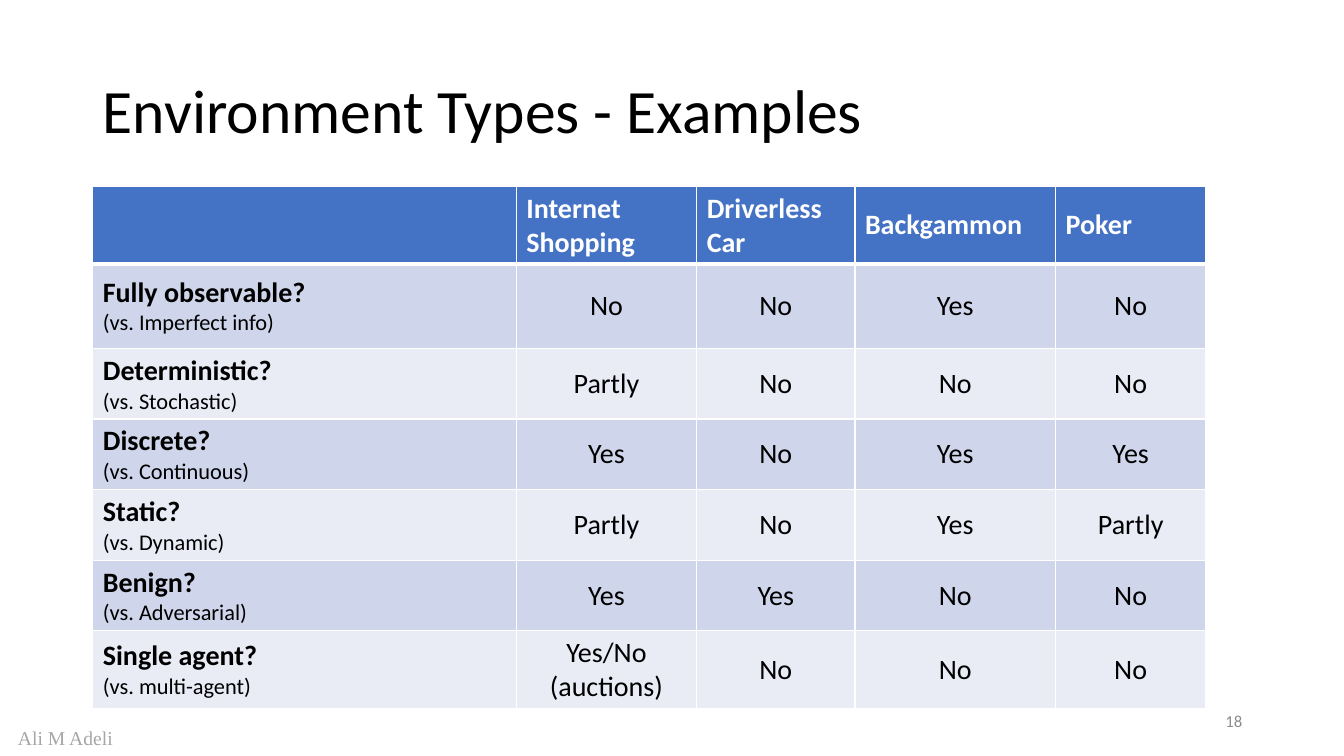
from lxml.etree import SubElement
from pptx import Presentation
from pptx.dml.color import RGBColor
from pptx.enum.text import MSO_ANCHOR, MSO_AUTO_SIZE, PP_ALIGN
from pptx.oxml.ns import qn
from pptx.util import Pt

EMU_PER_PX = 9144
BLACK = RGBColor(0x00, 0x00, 0x00)
WHITE = RGBColor(0xFF, 0xFF, 0xFF)
HEADER_BLUE = RGBColor(0x44, 0x72, 0xC4)
BAND_DARK = RGBColor(0xCF, 0xD5, 0xEA)
BAND_LIGHT = RGBColor(0xE9, 0xEB, 0xF5)
AUTHOR_GRAY = RGBColor(0xA6, 0xA6, 0xA6)
NUMBER_GRAY = RGBColor(0x8C, 0x8C, 0x8C)

COLUMN_WIDTHS = [420, 179, 157, 199, 149]
ROW_HEIGHTS = [66, 84, 68, 70, 66, 67, 66]
HEADERS = ["", "Internet Shopping", "Driverless Car", "Backgammon", "Poker"]
ENVIRONMENT_ROWS = [
    ("Fully observable?", "(vs. Imperfect info)", ["No", "No", "Yes", "No"]),
    ("Deterministic?", "(vs. Stochastic)", ["Partly", "No", "No", "No"]),
    ("Discrete?", "(vs. Continuous)", ["Yes", "No", "Yes", "Yes"]),
    ("Static?", "(vs. Dynamic)", ["Partly", "No", "Yes", "Partly"]),
    ("Benign?", "(vs. Adversarial)", ["Yes", "Yes", "No", "No"]),
    ("Single agent?", "(vs. multi-agent)", ["Yes/No (auctions)", "No", "No", "No"]),
]


def px(length):
    return length * EMU_PER_PX


def write_text(paragraph, text, size=20, color=BLACK, bold=False,
               font="Calibri", align=PP_ALIGN.LEFT, line_spacing=None):
    paragraph.alignment = align
    paragraph.line_spacing = line_spacing
    run = paragraph.add_run()
    run.text = text
    run.font.name = font
    run.font.size = Pt(size)
    run.font.bold = bold
    run.font.color.rgb = color


def add_title(slide, text):
    title = slide.shapes.title
    title.left, title.top, title.width, title.height = map(px, (92, 40, 1150, 145))
    title.text_frame.vertical_anchor = MSO_ANCHOR.MIDDLE
    title.text_frame.auto_size = MSO_AUTO_SIZE.NONE
    write_text(title.text_frame.paragraphs[0], text, size=44, line_spacing=0.9)


def add_label(slide, text, box, anchor=MSO_ANCHOR.TOP, **text_format):
    text_frame = slide.shapes.add_textbox(*map(px, box)).text_frame
    text_frame.word_wrap = True
    text_frame.vertical_anchor = anchor
    write_text(text_frame.paragraphs[0], text, **text_format)


def style_cell(cell, fill, top_width=1, bottom_width=1):
    properties = cell._tc.get_or_add_tcPr()
    widths = {"a:lnL": 1, "a:lnR": 1, "a:lnT": top_width, "a:lnB": bottom_width}
    for side, width in widths.items():
        line = SubElement(properties, qn(side), w=str(Pt(width)))
        solid_fill = SubElement(line, qn("a:solidFill"))
        SubElement(solid_fill, qn("a:srgbClr"), val=str(WHITE))
    cell.fill.solid()
    cell.fill.fore_color.rgb = fill
    cell.vertical_anchor = MSO_ANCHOR.MIDDLE


def fill_header(table):
    for column, header in enumerate(HEADERS):
        cell = table.cell(0, column)
        style_cell(cell, HEADER_BLUE, bottom_width=3)
        if header:
            write_text(cell.text_frame.paragraphs[0], header, color=WHITE, bold=True)


def fill_environment_row(table, row, question, contrast, answers):
    fill = BAND_DARK if row % 2 else BAND_LIGHT
    for cell in table.rows[row].cells:
        style_cell(cell, fill, top_width=3 if row == 1 else 1)
    text_frame = table.cell(row, 0).text_frame
    write_text(text_frame.paragraphs[0], question, bold=True)
    write_text(text_frame.add_paragraph(), contrast, size=16)
    for column, answer in enumerate(answers, start=1):
        paragraph = table.cell(row, column).text_frame.paragraphs[0]
        write_text(paragraph, answer, align=PP_ALIGN.CENTER)


def add_environment_table(slide):
    table = slide.shapes.add_table(
        len(ROW_HEIGHTS), len(COLUMN_WIDTHS), px(92), px(185),
        px(sum(COLUMN_WIDTHS)), px(sum(ROW_HEIGHTS))).table
    for column, width in zip(table.columns, COLUMN_WIDTHS):
        column.width = px(width)
    for row, height in zip(table.rows, ROW_HEIGHTS):
        row.height = px(height)
    fill_header(table)
    for row, (question, contrast, answers) in enumerate(ENVIRONMENT_ROWS, start=1):
        fill_environment_row(table, row, question, contrast, answers)


def main():
    presentation = Presentation()
    presentation.slide_width = px(1333)
    presentation.slide_height = px(750)
    slide = presentation.slides.add_slide(presentation.slide_layouts[5])
    add_label(slide, "Ali M Adeli", (8, 715, 147, 34), size=14,
              color=AUTHOR_GRAY, font="Times New Roman")
    add_title(slide, "Environment Types - Examples")
    add_environment_table(slide)
    add_label(slide, "18", (942, 695, 300, 40), anchor=MSO_ANCHOR.MIDDLE,
              size=12, color=NUMBER_GRAY, align=PP_ALIGN.RIGHT)
    presentation.save("out.pptx")


if __name__ == "__main__":
    main()
